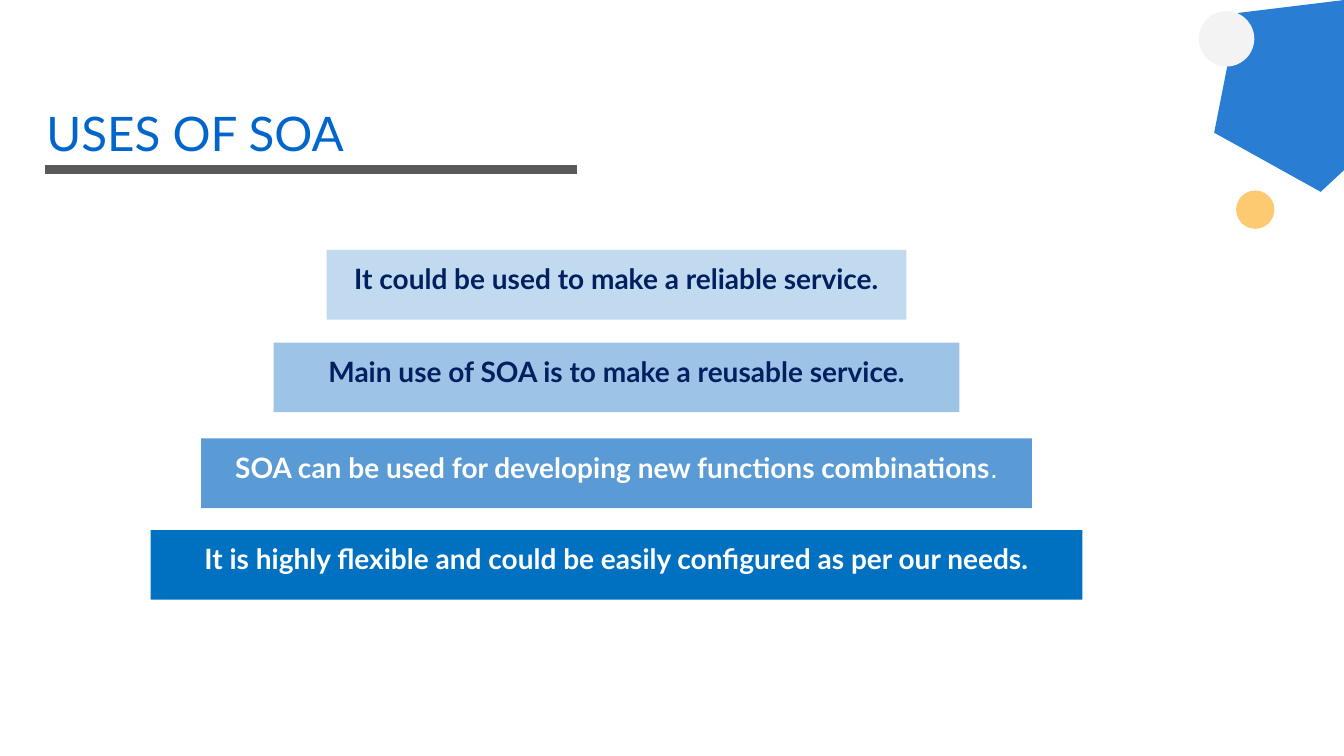
from dataclasses import dataclass

from lxml import etree
from pptx import Presentation
from pptx.dml.color import RGBColor
from pptx.enum.shapes import MSO_CONNECTOR, MSO_SHAPE
from pptx.enum.text import MSO_ANCHOR, MSO_AUTO_SIZE, PP_ALIGN
from pptx.oxml.ns import qn
from pptx.util import Inches, Pt

RECTANGLE = MSO_SHAPE.RECTANGLE
OVAL = MSO_SHAPE.OVAL
PENTAGON = MSO_SHAPE.REGULAR_PENTAGON
STRAIGHT = MSO_CONNECTOR.STRAIGHT
MIDDLE = MSO_ANCHOR.MIDDLE
LEFT, CENTER = PP_ALIGN.LEFT, PP_ALIGN.CENTER


@dataclass(frozen=True)
class Theme:
    blue: str = "0066CC"
    navy: str = "002060"
    white: str = "FFFFFF"
    gray: str = "595959"
    pale_gray: str = "F3F3F3"
    orange: str = "FCA106"
    font: str = "Lato"
    stop_font: str = "Arial"
    title_size: int = 34
    bar_size: int = 20


THEME = Theme()

TITLE = "USES OF SOA"

# top, width, fill, text colour, bold text, plain ending
BARS = [
    (2.48, 5.75, "C2DAF0", THEME.navy,
     "It could be used to make a reliable service.", ""),
    (3.4, 6.8, "9DC3E6", THEME.navy,
     "Main use of SOA is to make a reusable service.", ""),
    (4.35, 8.24, "5B9BD5", THEME.white,
     "SOA can be used for developing new functions combinations", "."),
    (5.26, 9.24, "0070C0", THEME.white,
     "It is highly flexible and could be easily configured as per our needs.", ""),
]
BAR_CENTER = 6.115
BAR_HEIGHT = 0.69

# preset, left, top, width, height, fill, opacity in percent, rotation
ORNAMENTS = [
    (PENTAGON, 11.93, -0.12, 1.96, 1.86, THEME.blue, 84, 317.1),
    (OVAL, 12.26, 1.89, 0.38, 0.38, THEME.orange, 57, 0),
    (OVAL, 11.89, 0.11, 0.55, 0.55, THEME.pale_gray, 100, 0),
]


def add_filled_shape(page, preset, left, top, width, height, color, opacity=100):
    shape = page.shapes.add_shape(
        preset, Inches(left), Inches(top), Inches(width), Inches(height))
    shape.shadow.inherit = False
    shape.fill.solid()
    shape.fill.fore_color.rgb = RGBColor.from_string(color)
    shape.line.fill.background()
    if opacity < 100:
        paint = shape.fill._xPr.find(qn("a:solidFill"))[0]
        etree.SubElement(paint, qn("a:alpha"), val=str(opacity * 1000))
    return shape


def add_text(para, text, *, size, color, font=THEME.font, bold=False):
    span = para.add_run()
    span.text = text
    span.font.size = Pt(size)
    span.font.name = font
    span.font.bold = bold
    span.font.color.rgb = RGBColor.from_string(color)


def add_title(page):
    title = page.shapes.title
    title.left, title.top = Inches(0.46), Inches(0.96)
    title.width, title.height = Inches(12.42), Inches(0.69)
    frame = title.text_frame
    frame.margin_left = frame.margin_right = frame.margin_bottom = 0
    frame.margin_top = Inches(0.01)
    frame.vertical_anchor = MIDDLE
    frame.auto_size = MSO_AUTO_SIZE.NONE
    para = frame.paragraphs[0]
    para.alignment = LEFT
    add_text(para, TITLE, size=THEME.title_size, color=THEME.blue)


def add_title_rule(page):
    rule = page.shapes.add_connector(
        STRAIGHT, Inches(0.45), Inches(1.68), Inches(5.72), Inches(1.68))
    rule.line.color.rgb = RGBColor.from_string(THEME.gray)
    rule.line.width = Pt(6)
    etree.SubElement(rule._element.spPr, qn("a:effectLst"))


def add_bar(page, top, width, fill, color, text, ending):
    box = add_filled_shape(
        page, RECTANGLE, BAR_CENTER - width / 2, top, width, BAR_HEIGHT, fill)
    frame = box.text_frame
    frame.word_wrap = True
    frame.vertical_anchor = MIDDLE
    para = frame.paragraphs[0]
    para.alignment = CENTER
    para.line_spacing = Pt(15)
    para.space_before = Pt(10)
    para.space_after = Pt(12)
    add_text(para, text, size=THEME.bar_size, color=color, bold=True)
    if ending:
        add_text(para, ending, size=THEME.bar_size, color=color, font=THEME.stop_font)


def main():
    deck = Presentation()
    deck.slide_width, deck.slide_height = Inches(13.33), Inches(7.5)
    page = deck.slides.add_slide(deck.slide_layouts.get_by_name("Title Only"))
    add_title_rule(page)
    for *outline, rotation in ORNAMENTS:
        add_filled_shape(page, *outline).rotation = rotation
    add_title(page)
    for bar in BARS:
        add_bar(page, *bar)
    deck.save("out.pptx")


if __name__ == "__main__":
    main()
